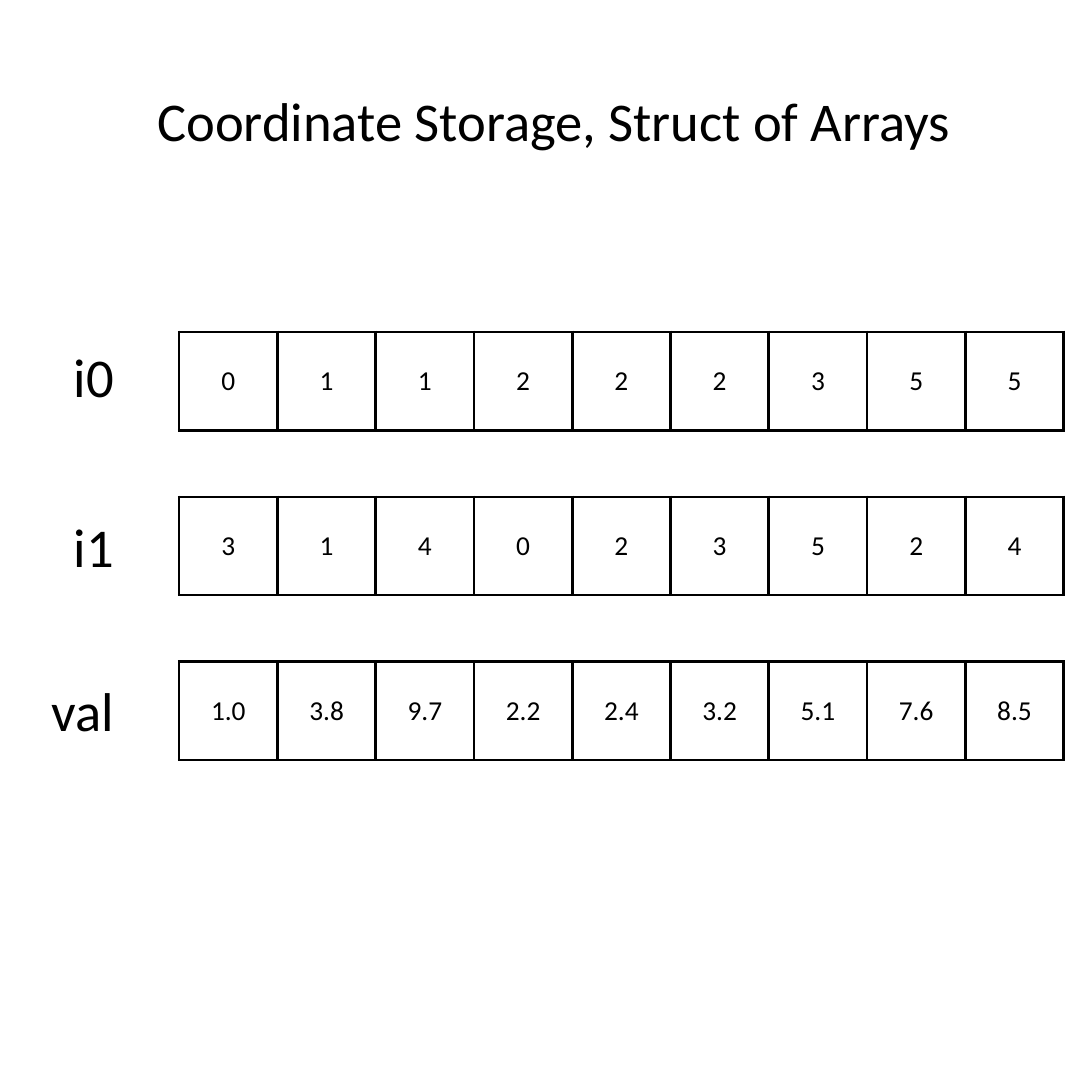
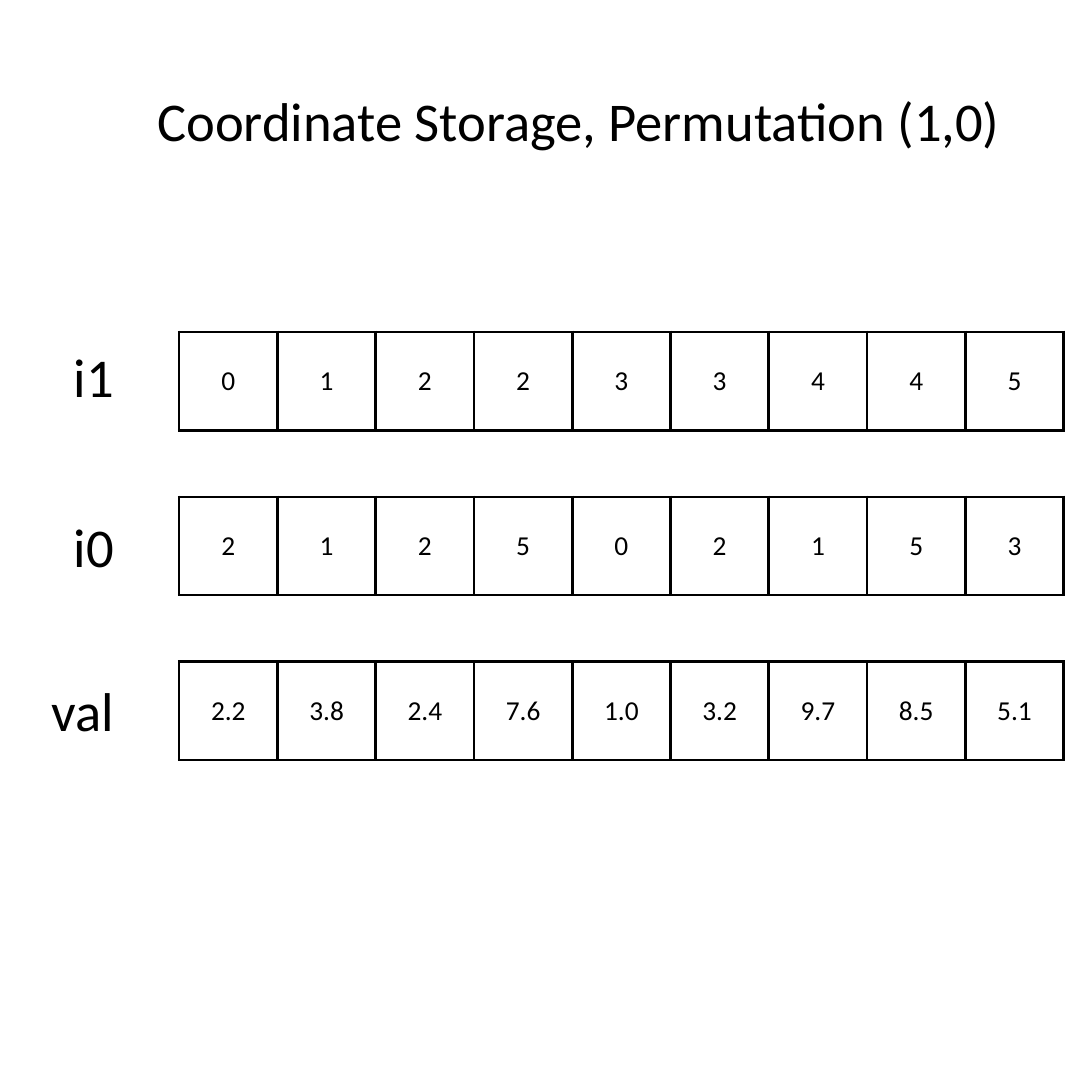
import pptx
import pptx.dml.color
import pptx.enum.text
import pptx.oxml.ns
import pptx.util
from lxml import etree

Inches = pptx.util.Inches
Pt = pptx.util.Pt
ALIGN = pptx.enum.text.PP_ALIGN
ANCHOR = pptx.enum.text.MSO_ANCHOR
qn = pptx.oxml.ns.qn

STORAGES = [
    ("Coordinate Storage, Struct of Arrays", [
        ("i0", "0 1 1 2 2 2 3 5 5"),
        ("i1", "3 1 4 0 2 3 5 2 4"),
        ("val", "1.0 3.8 9.7 2.2 2.4 3.2 5.1 7.6 8.5"),
    ]),
    ("Coordinate Storage, Permutation (1,0)", [
        ("i1", "0 1 2 2 3 3 4 4 5"),
        ("i0", "2 1 2 5 0 2 1 5 3"),
        ("val", "2.2 3.8 2.4 7.6 1.0 3.2 9.7 8.5 5.1"),
    ]),
]

BLACK = pptx.dml.color.RGBColor(0x00, 0x00, 0x00)
FONT = "Calibri"
CELL = 0.45
ARRAY_LEFT, ARRAY_TOP, ARRAY_PITCH = 0.82, 1.52, 0.755
LABEL_LEFT, LABEL_WIDTH, LINE_HEIGHT = 0.02, 0.6, 0.4
LABEL_TOPS = (1.52, 2.3, 3.05)


def write(frame, text, size=18, align=ALIGN.LEFT):
    paragraph = frame.paragraphs[0]
    paragraph.alignment = align
    run = paragraph.add_run()
    run.text = text
    run.font.size = Pt(size)
    run.font.name = FONT
    run.font.color.rgb = BLACK


def outline(cell):
    properties = cell._tc.get_or_add_tcPr()
    for side in ("a:lnL", "a:lnR", "a:lnT", "a:lnB"):
        line = etree.SubElement(properties, qn(side), w=str(Pt(1)))
        fill = etree.SubElement(line, qn("a:solidFill"))
        etree.SubElement(fill, qn("a:srgbClr"), val=str(BLACK))


def add_title(slide, text):
    title = slide.shapes.title
    title.left, title.top = Inches(0.62), Inches(0.35)
    title.width, title.height = Inches(4.11), Inches(LINE_HEIGHT)
    title.text_frame.word_wrap = False
    title.text_frame.vertical_anchor = ANCHOR.TOP
    write(title.text_frame, text)


def add_label(slide, text, top):
    label = slide.shapes.add_textbox(Inches(LABEL_LEFT), Inches(top),
                                     Inches(LABEL_WIDTH), Inches(LINE_HEIGHT))
    label.text_frame.word_wrap = True
    write(label.text_frame, text, align=ALIGN.RIGHT)


def add_array(slide, values, top):
    array = slide.shapes.add_table(1, len(values), Inches(ARRAY_LEFT), Inches(top),
                                   Inches(CELL * len(values)), Inches(CELL)).table
    array.first_row = array.horz_banding = False
    for column, value in enumerate(values):
        array.columns[column].width = Inches(CELL)
        cell = array.cell(0, column)
        cell.margin_left = cell.margin_right = Inches(0.12)
        cell.margin_top = cell.margin_bottom = Inches(0.06)
        cell.vertical_anchor = ANCHOR.MIDDLE
        outline(cell)
        cell.fill.background()
        write(cell.text_frame, value, size=9, align=ALIGN.CENTER)


def main():
    deck = pptx.Presentation()
    deck.slide_width = deck.slide_height = Inches(5)
    title_only = deck.slide_layouts[5]
    for title, arrays in STORAGES:
        slide = deck.slides.add_slide(title_only)
        add_title(slide, title)
        for index, (name, values) in enumerate(arrays):
            add_label(slide, name, LABEL_TOPS[index])
            add_array(slide, values.split(), ARRAY_TOP + index * ARRAY_PITCH)
    deck.save("out.pptx")


if __name__ == "__main__":
    main()
